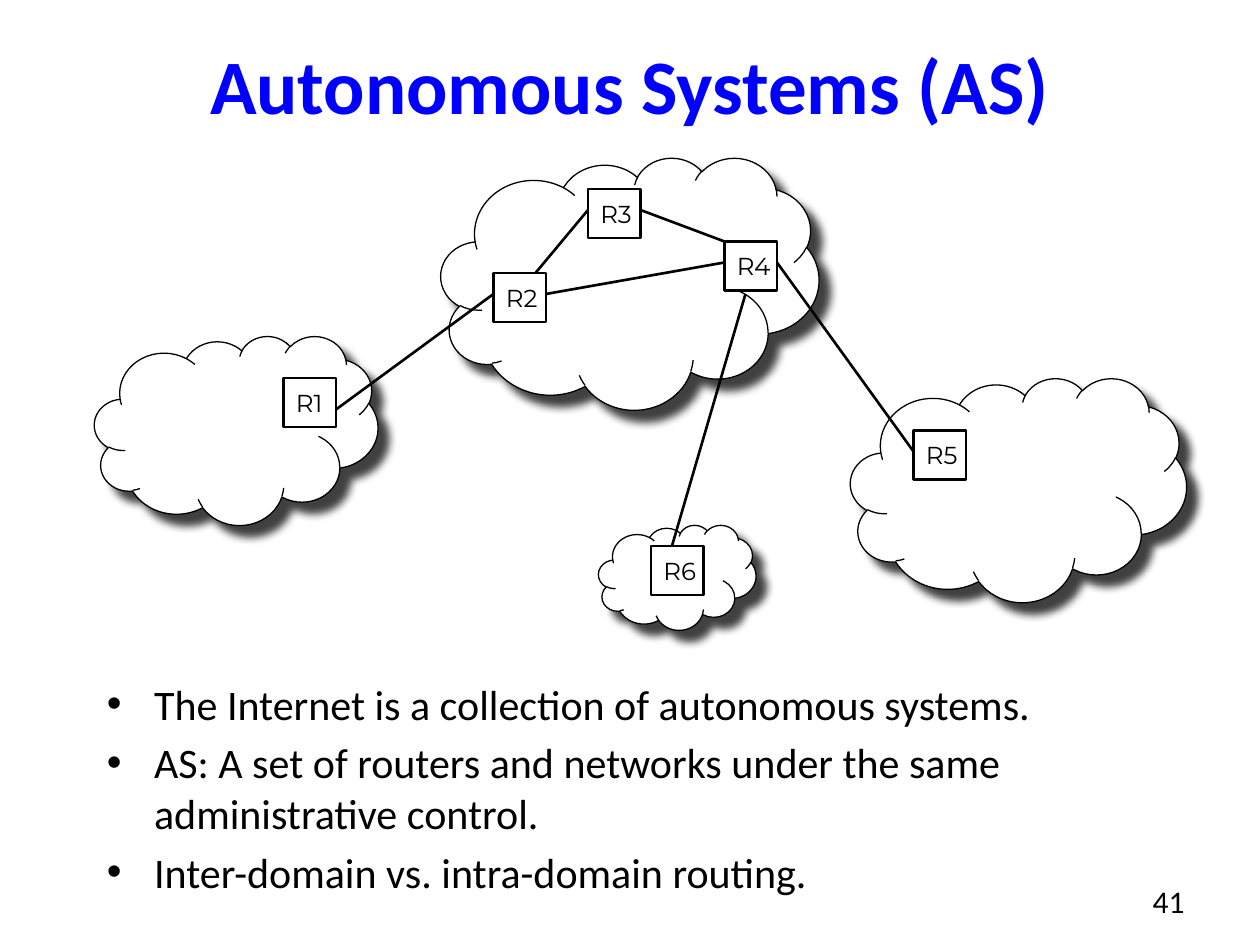
from lxml import etree
from pptx import Presentation
from pptx.dml.color import RGBColor
from pptx.enum.shapes import MSO_CONNECTOR, MSO_SHAPE
from pptx.enum.text import MSO_ANCHOR, MSO_AUTO_SIZE, PP_ALIGN
from pptx.oxml import parse_xml
from pptx.oxml.ns import nsdecls, qn
from pptx.util import Pt

STRAIGHT = MSO_CONNECTOR.STRAIGHT
CLOUD, RECTANGLE = MSO_SHAPE.CLOUD, MSO_SHAPE.RECTANGLE
MIDDLE = MSO_ANCHOR.MIDDLE
NO_AUTOFIT = MSO_AUTO_SIZE.NONE
LEFT, CENTER, RIGHT = PP_ALIGN.LEFT, PP_ALIGN.CENTER, PP_ALIGN.RIGHT

SHADOW = (
    f'<a:outerShdw {nsdecls("a")} blurRad="63500" dist="107950" dir="2700000" '
    'algn="ctr" rotWithShape="0"><a:srgbClr val="000000">'
    '<a:alpha val="75000"/></a:srgbClr></a:outerShdw>'
)


def paint(color_format, color):
    color_format.rgb = RGBColor.from_string(color)


def style_paragraph(para, text, size, font="Calibri", color="000000", align=LEFT):
    para.text = text
    para.alignment = align
    para.font.name = font
    para.font.size = Pt(size)
    paint(para.font.color, color)


deck = Presentation()
deck.slide_width, deck.slide_height = Pt(720), Pt(540)
page = deck.slides.add_slide(deck.slide_layouts[5])

# Title
title = page.shapes.title
title.left, title.top, title.width, title.height = Pt(54), Pt(18), Pt(612), Pt(60)
title.text_frame.auto_size = NO_AUTOFIT
title.text_frame.vertical_anchor = MIDDLE
heading = title.text_frame.paragraphs[0]
style_paragraph(heading, "Autonomous Systems (AS)", 44, color="0000FF", align=CENTER)
heading.font.bold = True

# Autonomous systems: left, top, width of clouds that are 3 wide by 2 high
for left, top, width in [(486, 216, 192), (54, 192, 162), (252, 90, 216), (342, 300, 90)]:
    cloud = page.shapes.add_shape(CLOUD, Pt(left), Pt(top), Pt(width), Pt(width * 2 / 3))
    cloud.fill.solid()
    paint(cloud.fill.fore_color, "FFFFFF")
    paint(cloud.line.color, "000000")
    cloud.line.width = Pt(0.75)
    cloud.shadow.inherit = False
    cloud._element.spPr.find(qn("a:effectLst")).append(parse_xml(SHADOW))

# Routers
routers = {
    "R1": (162, 216), "R2": (282, 156), "R3": (336, 108),
    "R4": (414, 138), "R5": (522, 246), "R6": (372, 312),
}
for name, (left, top) in routers.items():
    router = page.shapes.add_shape(RECTANGLE, Pt(left), Pt(top), Pt(30), Pt(28))
    router.shadow.inherit = False
    router.fill.solid()
    paint(router.fill.fore_color, "FFFFFF")
    paint(router.line.color, "000000")
    router.line.width = Pt(1.5)
    router.text_frame.word_wrap = False
    router.text_frame.vertical_anchor = MIDDLE
    style_paragraph(router.text_frame.paragraphs[0], name, 14, "Montserrat")

# Links between routers
links = [
    (192, 234, 282, 168),  # R1 to R2
    (312, 168, 414, 150),  # R2 to R4
    (444, 150, 522, 258),  # R4 to R5
    (384, 312, 426, 168),  # R6 to R4
    (366, 120, 414, 138),  # R3 to R4
    (306, 156, 336, 120),  # R2 to R3
]
for ends in links:
    link = page.shapes.add_connector(STRAIGHT, *[Pt(value) for value in ends])
    paint(link.line.color, "000000")
    link.line.width = Pt(1.5)
    etree.SubElement(link._element.spPr, qn("a:effectLst"))

# Bullets
points = [
    "The Internet is a collection of autonomous systems.",
    "AS: A set of routers and networks under the same administrative control.",
    "Inter-domain vs. intra-domain routing.",
]
body = page.shapes.add_textbox(Pt(54), Pt(384), Pt(612), Pt(138)).text_frame
body.word_wrap = True
for index, point in enumerate(points):
    para = body.add_paragraph() if index else body.paragraphs[0]
    para.space_before = Pt(4.8 if index else 0)
    properties = para._p.get_or_add_pPr()
    properties.set("marL", str(Pt(27)))
    properties.set("indent", str(Pt(-27)))
    etree.SubElement(properties, qn("a:buFont"), typeface="Arial")
    etree.SubElement(properties, qn("a:buChar"), char="•")
    style_paragraph(para, point, 24)

# Page number
number = page.shapes.add_textbox(Pt(516), Pt(500.4), Pt(168), Pt(29)).text_frame
number.word_wrap = True
style_paragraph(number.paragraphs[0], "41", 18, align=RIGHT)

deck.save("out.pptx")
